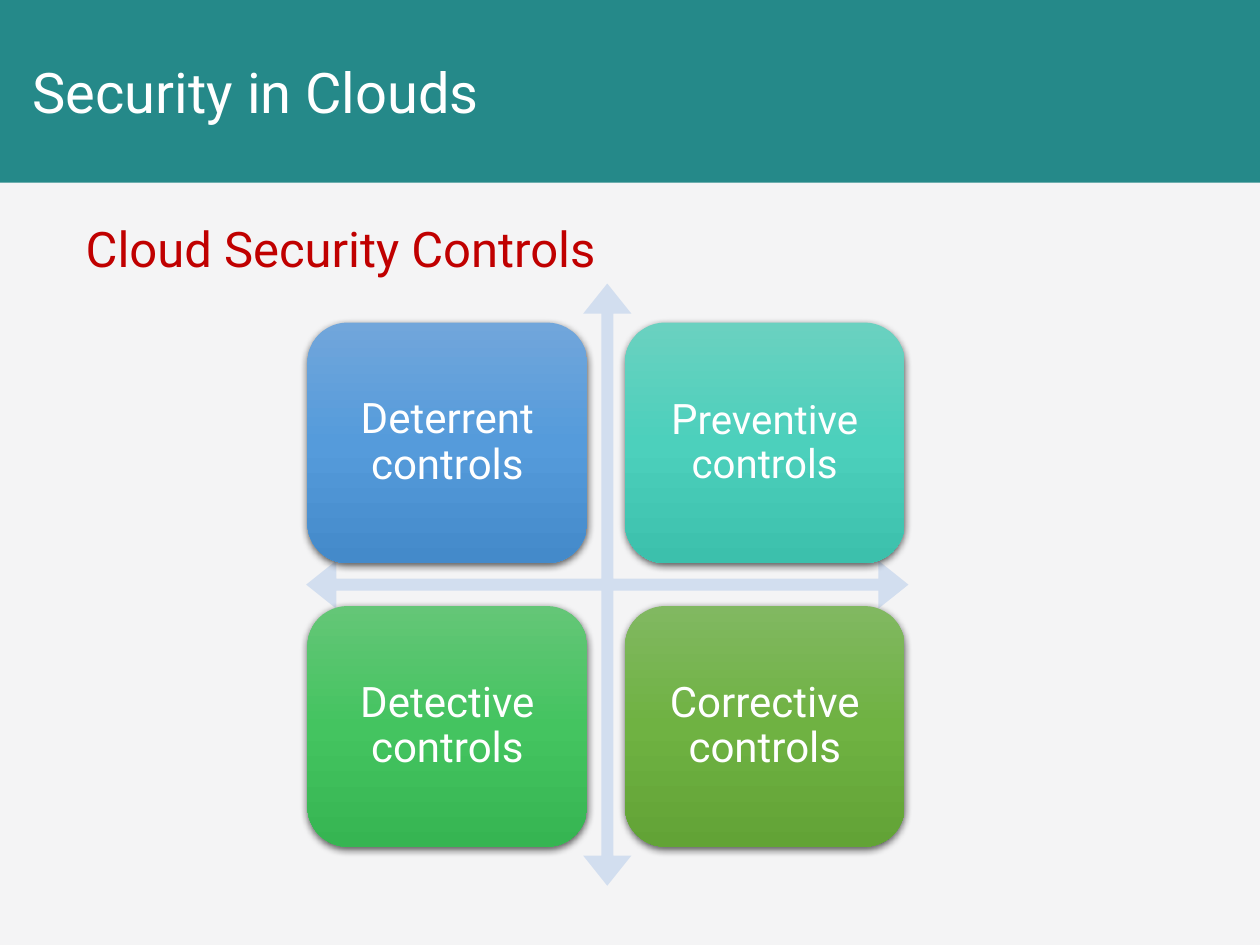
"""Build the cloud security controls slide."""
import copy

import lxml.etree
import pptx
import pptx.dml.color
import pptx.enum.shapes
import pptx.enum.text
import pptx.oxml.ns
import pptx.util

Inches = pptx.util.Inches
Pt = pptx.util.Pt
SHAPE = pptx.enum.shapes.MSO_SHAPE
ALIGN = pptx.enum.text.PP_ALIGN
ANCHOR = pptx.enum.text.MSO_ANCHOR
qn = pptx.oxml.ns.qn

WHITE = "FFFFFF"
CARD_LEFT, CARD_TOP = 2.44, 2.56
CARD_W, CARD_H = 2.22, 1.91
STEP_X, STEP_Y = 2.52, 2.25
CARDS = [
    ([("Deterrent controls", 24)], ("71A6DB", "559BDB", "448ACA")),
    ([("P", 24), ("reventive controls", 23)], ("6AD1C0", "4CD0BC", "3CC0AC")),
    ([("Detective controls", 24)], ("64C677", "44C460", "36B552")),
    ([("Corrective controls", 24)], ("81B861", "6FB242", "62A336")),
]


def rgb(value):
    """Turn a hex string into a colour."""
    return pptx.dml.color.RGBColor.from_string(value)


def add_run(p, text, size, color):
    """Append one formatted run to a paragraph."""
    r = p.add_run()
    r.text = text
    r.font.name = "Roboto"
    r.font.size = Pt(size)
    r.font.color.rgb = rgb(color)


def add_plain_shape(s, kind, left, top, width, height):
    """Add a preset shape without outline or shadow."""
    sp = s.shapes.add_shape(kind, Inches(left), Inches(top), Inches(width), Inches(height))
    sp.line.fill.background()
    sp.shadow.inherit = False
    return sp


def add_banner(s):
    """Add the title band behind the placeholders."""
    sp = add_plain_shape(s, SHAPE.RECTANGLE, 0, 0, 10, 1.45)
    sp.fill.solid()
    sp.fill.fore_color.rgb = rgb("258989")
    s.shapes._spTree.insert(2, sp._element)


def fill_placeholder(sp, box, text, size, color, anchor, spacing):
    """Place a placeholder and give it one unbulleted paragraph."""
    sp.left, sp.top, sp.width, sp.height = (Inches(v) for v in box)
    tf = sp.text_frame
    tf.word_wrap = True
    tf.auto_size = pptx.enum.text.MSO_AUTO_SIZE.NONE
    tf.vertical_anchor = anchor
    p = tf.paragraphs[0]
    pPr = p._p.get_or_add_pPr()
    pPr.set("marL", "0")
    pPr.set("indent", "0")
    lxml.etree.SubElement(pPr, qn("a:buNone"))
    p.alignment = ALIGN.JUSTIFY
    p.line_spacing = spacing
    p.space_before = Pt(0)
    add_run(p, text, size, color)


def add_axes(s):
    """Add the four-way arrow behind the cards."""
    sp = add_plain_shape(s, SHAPE.QUAD_ARROW, 2.43, 2.25, 4.78, 4.78)
    for i, value in enumerate((0.02, 0.04, 0.05)):
        sp.adjustments[i] = value
    sp.fill.solid()
    sp.fill.fore_color.rgb = rgb("D2DEEF")


def set_gradient(sp, colors):
    """Fill a shape from top to bottom with three colours."""
    sp.fill.gradient()
    sp.fill.gradient_angle = 270
    stops = sp._element.spPr.find(".//" + qn("a:gsLst"))
    stops.append(copy.deepcopy(stops[0]))
    for stop, position, color in zip(sp.fill.gradient_stops, (0, 0.5, 1), colors):
        stop.position = position
        stop.color.rgb = rgb(color)


def add_shadow(sp):
    """Drop a soft black shadow below a shape."""
    effects = sp._element.spPr.find(qn("a:effectLst"))
    shadow = lxml.etree.SubElement(
        effects, qn("a:outerShdw"), blurRad=str(Pt(4.5)), dist=str(Pt(1.5)),
        dir="5400000", algn="ctr", rotWithShape="0")
    color = lxml.etree.SubElement(shadow, qn("a:srgbClr"), val="000000")
    lxml.etree.SubElement(color, qn("a:alpha"), val="63000")


def add_card(s, left, top, runs, colors):
    """Add one rounded card with its centred label."""
    sp = add_plain_shape(s, SHAPE.ROUNDED_RECTANGLE, left, top, CARD_W, CARD_H)
    set_gradient(sp, colors)
    add_shadow(sp)
    tf = sp.text_frame
    tf.word_wrap = True
    tf.vertical_anchor = ANCHOR.MIDDLE
    tf.margin_left = tf.margin_right = Inches(0.1)
    tf.margin_top = tf.margin_bottom = Inches(0.1)
    p = tf.paragraphs[0]
    p.alignment = ALIGN.CENTER
    p.line_spacing = 0.9
    for text, size in runs:
        add_run(p, text, size, WHITE)


def main():
    """Build and save the slide."""
    prs = pptx.Presentation()
    prs.slide_width, prs.slide_height = Inches(10), Inches(7.5)
    s = prs.slides.add_slide(prs.slide_layouts[1])
    s.background.fill.solid()
    s.background.fill.fore_color.rgb = rgb("F4F4F5")
    add_banner(s)
    fill_placeholder(s.shapes.title, (0.16, 0, 9.67, 1.45), "Security in Clouds",
                     32, WHITE, ANCHOR.MIDDLE, 1.0)
    fill_placeholder(s.placeholders[1], (0.58, 1.45, 9.62, 5.59), "Cloud Security Controls",
                     28, "C00000", ANCHOR.TOP, 1.5)
    add_axes(s)
    for i, (runs, colors) in enumerate(CARDS):
        row, col = divmod(i, 2)
        add_card(s, CARD_LEFT + col * STEP_X, CARD_TOP + row * STEP_Y, runs, colors)
    prs.save("out.pptx")


if __name__ == "__main__":
    main()
